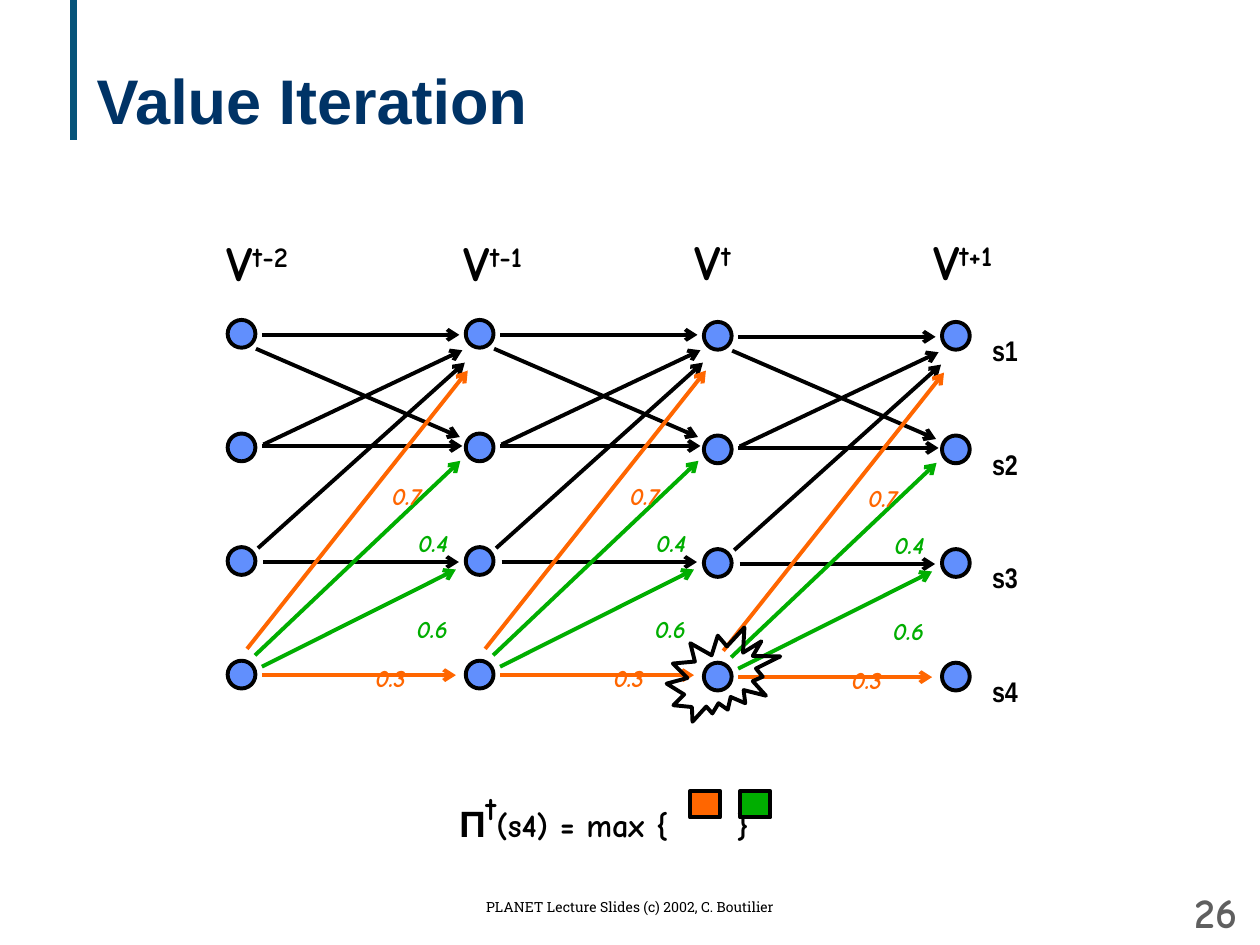
from lxml.etree import SubElement
from pptx import Presentation
from pptx.dml.color import RGBColor
from pptx.enum.shapes import MSO_CONNECTOR, MSO_SHAPE
from pptx.enum.text import MSO_ANCHOR, PP_ALIGN
from pptx.oxml.ns import qn
from pptx.util import Cm, Pt

BLACK, ORANGE, GREEN, BLUE = "000000", "FF6600", "00AE00", "618FFD"
NAVY, TEAL, GREY = "003366", "07547A", "5F5F5F"
HAND = "Comic Neue"
STAGE_PITCH, STATE_PITCH, NODE_SIZE = 4.8, 2.29, 0.56
STATES = ["s1", "s2", "s3", "s4"]
STAGES = [("t-2", -0.27, 0), ("t-1", -0.29, 0), ("t", -0.43, 0.04), ("t+1", -0.43, 0.04)]
TRANSITIONS = [
    (0.69, 0.30, 4.67, 0.30, BLACK),
    (0.57, 0.58, 4.68, 2.36, BLACK),
    (0.69, 2.54, 4.73, 2.54, BLACK),
    (0.72, 2.51, 4.73, 0.61, BLACK),
    (0.61, 4.60, 4.78, 0.86, BLACK),
    (0.72, 4.88, 4.66, 4.88, BLACK),
    (0.69, 7.16, 4.60, 7.16, ORANGE),
    (0.69, 6.99, 4.60, 5.03, GREEN),
    (0.55, 6.76, 4.69, 2.84, GREEN),
    (0.39, 6.63, 4.84, 1.02, ORANGE),
]
PROBABILITIES = [
    ("0.3", 2.73, 6.35, ORANGE),
    ("0.7", 3.06, 2.68, ORANGE),
    ("0.4", 3.59, 3.63, GREEN),
    ("0.6", 3.56, 5.36, GREEN),
]


def color(value):
    """Turn a hex string into a colour."""
    return RGBColor.from_string(value)


def set_font(font, name, size, fill, bold=True, italic=False):
    """Set all properties of a font."""
    font.name, font.size, font.bold, font.italic = name, Pt(size), bold, italic
    font.color.rgb = color(fill)


def add_text(slide, box, parts, name, size, fill, bold=True, italic=False,
             align=PP_ALIGN.LEFT, anchor=MSO_ANCHOR.TOP, tab=None):
    """Add one paragraph made of (text, baseline percent) parts."""
    frame = slide.shapes.add_textbox(*map(Cm, box)).text_frame
    frame.word_wrap, frame.vertical_anchor = True, anchor
    paragraph = frame.paragraphs[0]
    paragraph.alignment = align
    if tab:
        tabs = SubElement(paragraph._p.get_or_add_pPr(), qn("a:tabLst"))
        SubElement(tabs, qn("a:tab"), pos=str(Cm(tab)), algn="l")
    set_font(paragraph.font, name, size, fill, bold, italic)
    for text, baseline in parts:
        run = paragraph.add_run()
        run.text = text
        if baseline:
            run._r.get_or_add_rPr().set("baseline", str(baseline * 1000))
    return paragraph


def add_outlined(slide, kind, box, fill=None):
    """Add a preset shape with a black outline."""
    shape = slide.shapes.add_shape(kind, *map(Cm, box))
    shape.shadow.inherit = False
    shape.line.color.rgb, shape.line.width = color(BLACK), Pt(2.25)
    if fill:
        shape.fill.solid()
        shape.fill.fore_color.rgb = color(fill)
    else:
        shape.fill.background()


def add_line(slide, ends, stroke, width=2.25, arrow=True):
    """Add a straight line, with an arrowhead at its end if wanted."""
    connector = slide.shapes.add_connector(MSO_CONNECTOR.STRAIGHT, *map(Cm, ends))
    connector.line.color.rgb, connector.line.width = color(stroke), Pt(width)
    if arrow:
        SubElement(connector.line._get_or_add_ln(), qn("a:tailEnd"), type="arrow")
    SubElement(connector._element.spPr, qn("a:effectLst"))


def add_header(slide, left, top):
    """Place the accent bar and the title."""
    add_line(slide, (left, top, left, top + 2.82), TEAL, 4, arrow=False)
    add_text(slide, (left + 0.21, top + 0.41, 22.66, 3.18), [("Value Iteration", 0)],
             "Arial", 36, NAVY, anchor=MSO_ANCHOR.MIDDLE)


def add_stage_nodes(slide, left, top):
    """Place one column of state nodes."""
    for row in range(len(STATES)):
        box = (left, top + row * STATE_PITCH, NODE_SIZE, NODE_SIZE)
        add_outlined(slide, MSO_SHAPE.OVAL, box, BLUE)


def add_transitions(slide, left, top):
    """Place the arrows and probabilities from one stage to the next."""
    for x1, y1, x2, y2, stroke in TRANSITIONS:
        add_line(slide, (left + x1, top + y1, left + x2, top + y2), stroke)
    for text, x, y, fill in PROBABILITIES:
        add_text(slide, (left + x, top + y, 1.3, 1.3), [(text, -10)],
                 HAND, 24, fill, italic=True)


def add_trellis(slide, left, top):
    """Place all stages, their headings, the state names and the highlight."""
    last = len(STAGES) - 1
    for column in range(last, -1, -1):
        exponent, shift, drop = STAGES[column]
        x = left + column * STAGE_PITCH
        add_stage_nodes(slide, x, top + drop)
        if column < last:
            add_transitions(slide, x, top + drop)
        add_text(slide, (x + shift, top - 1.88 - drop / 2, 2, 1.45),
                 [("V", 0), (exponent, 30)], HAND, 28, BLACK)
    for row, state in enumerate(STATES):
        box = (left + last * STAGE_PITCH + 0.76, top + row * STATE_PITCH - 0.37, 1.2, 1.47)
        add_text(slide, box, [(state, -10)], "Arial Narrow", 28, BLACK)
    add_outlined(slide, MSO_SHAPE.EXPLOSION2, (left + 8.85, top + 6.2, 2.29, 1.9))


def add_policy(slide, left, top):
    """Place the policy formula and its two colour keys."""
    parts = [("Π", -10), ("t", 20), ("(s4) = max {\t}", -10)]
    paragraph = add_text(slide, (left, top, 6.8, 1.8), parts, HAND, 32, BLACK, tab=5.59)
    symbol = paragraph.runs[0].font
    symbol.name, symbol.size = "Arial", Pt(36)
    for x, fill in ((5.91, GREEN), (4.9, ORANGE)):
        add_outlined(slide, MSO_SHAPE.RECTANGLE, (left + x, top + 0.58, 0.61, 0.53), fill)


def add_footer(slide, left, top):
    """Place the credit line and the page number."""
    add_text(slide, (left, top, 11.43, 0.64),
             [("PLANET Lecture Slides (c) 2002, C. Boutilier", 0)],
             "Roboto Slab", 8, BLACK, bold=False, align=PP_ALIGN.CENTER)
    add_text(slide, (left + 16.38, top - 0.12, 1.83, 1.02), [("26", 0)], HAND, 24, GREY,
             align=PP_ALIGN.RIGHT, anchor=MSO_ANCHOR.MIDDLE)


def main():
    """Build and save the slide."""
    presentation = Presentation()
    presentation.slide_width, presentation.slide_height = Cm(25.4), Cm(19.05)
    slide = presentation.slides.add_slide(presentation.slide_layouts[6])
    add_header(slide, 1.49, 0)
    add_trellis(slide, 4.59, 6.45)
    add_policy(slide, 9.01, 15.37)
    add_footer(slide, 6.99, 17.98)
    presentation.save("out.pptx")


if __name__ == "__main__":
    main()
